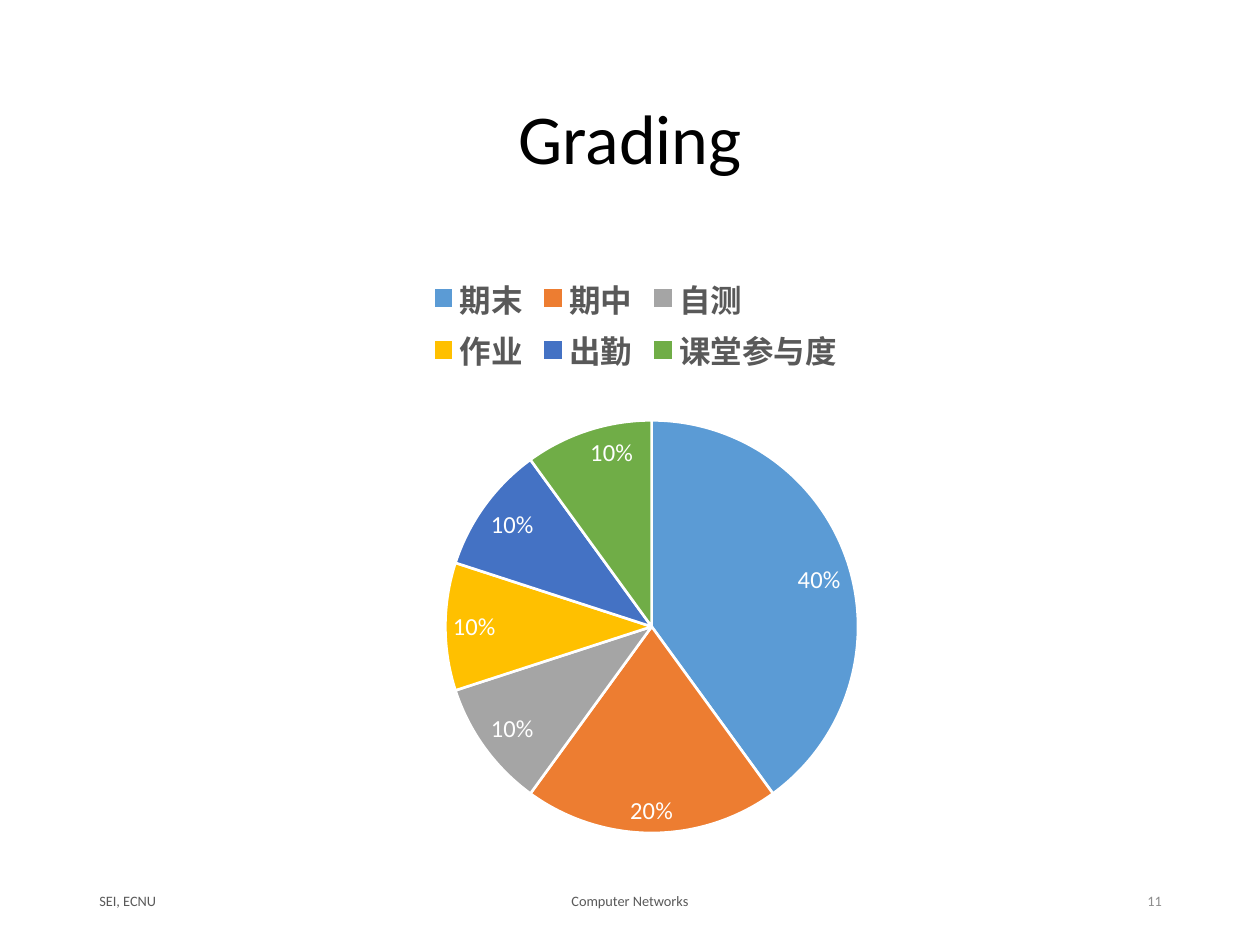
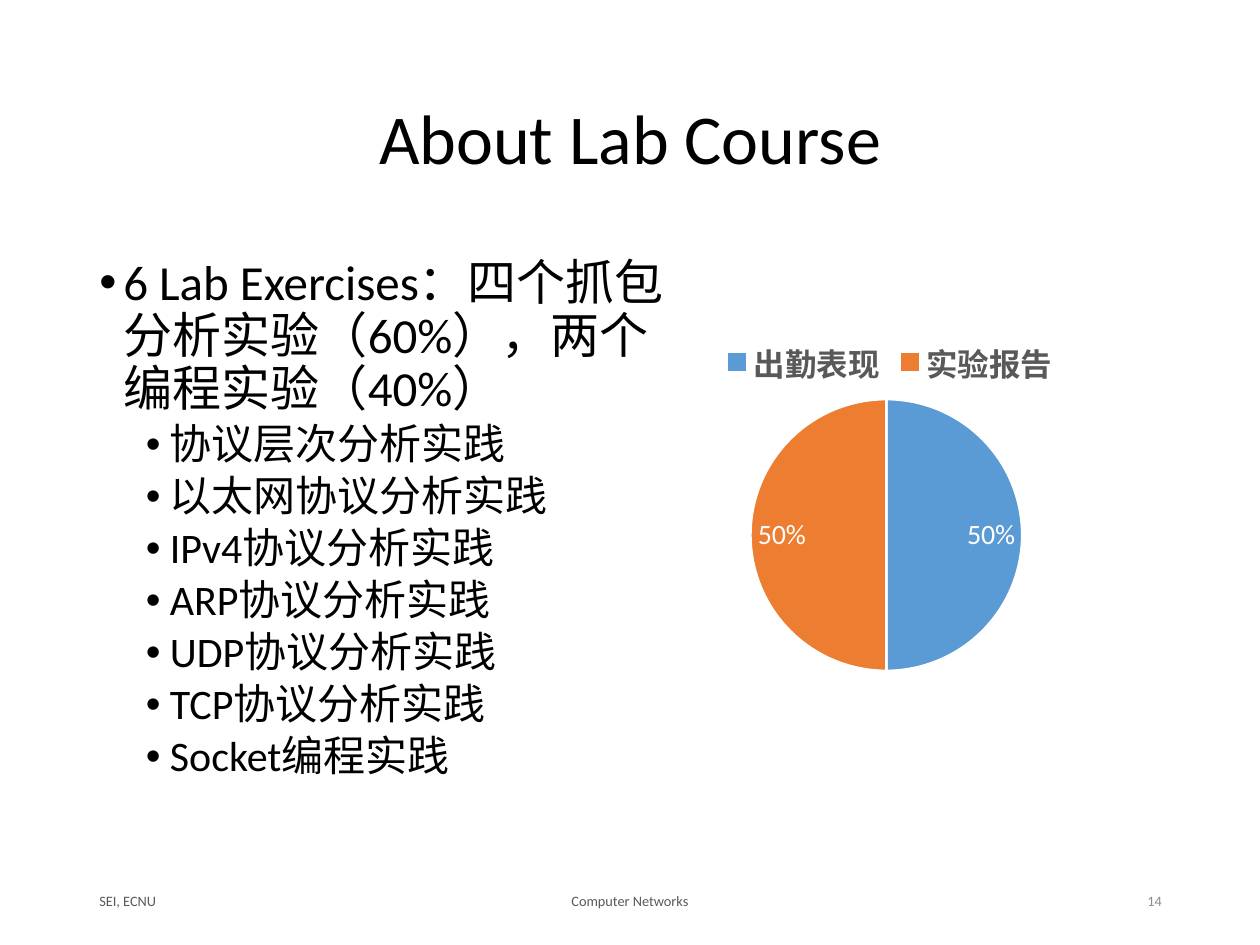
from lxml import etree
from pptx import Presentation
from pptx.chart import data
from pptx.dml.color import RGBColor
from pptx.enum import chart as kinds, text
from pptx.oxml import ns
from pptx.util import Inches, Pt

FONT = "Calibri"
BLACK, GREY, PALE, WHITE = "000000", "595959", "8C8C8C", "FFFFFF"
SLICES = ["5B9BD5", "ED7D31", "A5A5A5", "FFC000", "4472C4", "70AD47"]
LEFT, WIDE = 0.69, 8.62
TOP, TALL = 2, 4.76
ALIGN = text.PP_ALIGN
LABS = ["协议层次分析实践", "以太网协议分析实践", "IPv4协议分析实践", "ARP协议分析实践",
        "UDP协议分析实践", "TCP协议分析实践", "Socket编程实践"]


def color(code):
    """Turn a hex string into a colour."""
    return RGBColor.from_string(code)


def style(font, size, code, bold=False):
    """Set face, size, colour and weight of a font."""
    font.name, font.size, font.bold = FONT, Pt(size), bold
    font.color.rgb = color(code)


def write(par, words, size=28, code=BLACK, align=ALIGN.LEFT, line=1.0, before=0):
    """Fill a paragraph with one formatted run."""
    par.alignment, par.line_spacing, par.space_before = align, line, Pt(before)
    run = par.add_run()
    run.text = words
    style(run.font, size, code)


def bullet(par, indent, hang=0.19):
    """Give a paragraph a hanging round bullet."""
    props = par._p.get_or_add_pPr()
    props.set("marL", str(Inches(indent)))
    props.set("indent", str(-Inches(hang)))
    etree.SubElement(props, ns.qn("a:buFont"), typeface="Arial")
    etree.SubElement(props, ns.qn("a:buChar"), char="•")


def box(slide, left, top, width, height, anchor=text.MSO_ANCHOR.TOP):
    """Add a wrapping text box and return its frame."""
    area = map(Inches, (left, top, width, height))
    frame = slide.shapes.add_textbox(*area).text_frame
    frame.word_wrap, frame.vertical_anchor = True, anchor
    return frame


def page(deck, title, number):
    """Add a slide with its title and footers."""
    slide = deck.slides.add_slide(deck.slide_layouts[5])
    head = slide.shapes.title
    head.left, head.top = Inches(LEFT), Inches(0.4)
    head.width, head.height = Inches(WIDE), Inches(1.45)
    head.text_frame.vertical_anchor = text.MSO_ANCHOR.MIDDLE
    write(head.text_frame.paragraphs[0], title, size=40, align=ALIGN.CENTER, line=0.9)
    feet = [(LEFT, 2.25, "SEI, ECNU", ALIGN.LEFT, GREY),
            (3.31, 3.38, "Computer Networks", ALIGN.CENTER, GREY),
            (7.07, 2.25, str(number), ALIGN.RIGHT, PALE)]
    for left, width, words, align, code in feet:
        frame = box(slide, left, 6.95, width, 0.4, text.MSO_ANCHOR.MIDDLE)
        write(frame.paragraphs[0], words, size=8.2, code=code, align=align)
    return slide


def place(parent, index, area, inner=False):
    """Fix a chart part at fractions of the chart area."""
    for old in parent.findall(ns.qn("c:layout")):
        parent.remove(old)
    layout = etree.Element(ns.qn("c:layout"))
    manual = etree.SubElement(layout, ns.qn("c:manualLayout"))
    if inner:
        etree.SubElement(manual, ns.qn("c:layoutTarget"), val="inner")
    for tag in ("xMode", "yMode"):
        etree.SubElement(manual, ns.qn("c:" + tag), val="edge")
    for tag, part in zip("xywh", area):
        etree.SubElement(manual, ns.qn("c:" + tag), val=str(part))
    parent.insert(index, layout)


def pie(slide, area, shares, size, plot, key=None):
    """Add a pie chart with a top legend and percent labels."""
    table = data.CategoryChartData()
    table.categories = list(shares)
    table.add_series("Series 1", list(shares.values()))
    chart = slide.shapes.add_chart(
        kinds.XL_CHART_TYPE.PIE, *map(Inches, area), table).chart
    style(chart.font, 10, BLACK)
    chart.has_title = False
    chart.has_legend = True
    legend = chart.legend
    legend.position = kinds.XL_LEGEND_POSITION.TOP
    legend.include_in_layout = False
    style(legend.font, 18, GREY, bold=True)
    if key:
        place(legend._element, 1, key)
    place(chart._chartSpace.chart.plotArea, 0, plot, inner=True)
    pies = chart.plots[0]
    pies.vary_by_categories = True
    for index, code in zip(range(len(shares)), SLICES):
        form = pies.series[0].points[index].format
        form.fill.solid()
        form.fill.fore_color.rgb = color(code)
        form.line.color.rgb = color(WHITE)
        form.line.width = Pt(1.5)
    pies.has_data_labels = True
    labels = pies.data_labels
    labels.show_value, labels.show_percentage = False, True
    labels.number_format, labels.number_format_is_linked = "0%", False
    labels.position = kinds.XL_LABEL_POSITION.INSIDE_END
    style(labels.font, size, WHITE)


def main():
    """Build both slides and save them."""
    deck = Presentation()
    deck.slide_width, deck.slide_height = Inches(10), Inches(7.5)

    grades = page(deck, "Grading", 11)
    shares = {"期末": 40, "期中": 20, "自测": 10, "作业": 10, "出勤": 10, "课堂参与度": 10}
    pie(grades, (LEFT, TOP, WIDE, TALL), shares, 14,
        plot=(0.33, 0.28, 0.38, 0.69), key=(0.31, 0.03, 0.39, 0.18))

    lab = page(deck, "About Lab Course", 14)
    pie(lab, (4.02, 2.57, 6.09, 3.32), {"出勤表现": 50, "实验报告": 50}, 16,
        plot=(0.12, 0.18, 0.75, 0.65))
    frame = box(lab, LEFT, TOP, 4.7, TALL)
    first = frame.paragraphs[0]
    write(first, "6 Lab Exercises：四个抓包分析实验（60%），两个编程实验（40%）",
          line=0.9, before=7.5)
    bullet(first, 0.19)
    for name in LABS:
        par = frame.add_paragraph()
        par.level = 1
        write(par, name, size=24, line=0.9, before=3.8)
        bullet(par, 0.56)

    deck.save("out.pptx")


main()
